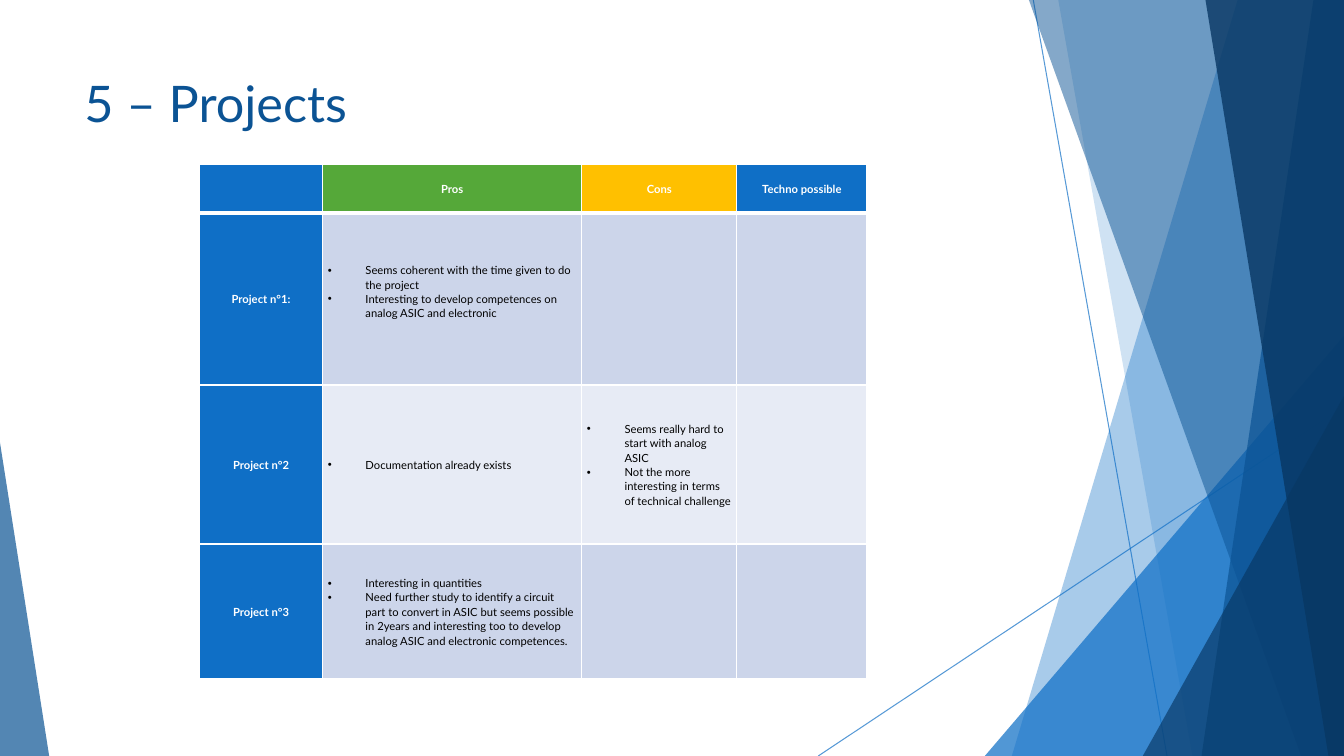
from dataclasses import dataclass

from lxml.etree import SubElement
from pptx import Presentation
from pptx.dml.color import RGBColor
from pptx.enum.shapes import MSO_CONNECTOR, MSO_SHAPE
from pptx.enum.text import MSO_ANCHOR as Anchor, PP_ALIGN as Align
from pptx.oxml.ns import qn
from pptx.util import Cm, Pt


@dataclass(frozen=True)
class Theme:
    font: str = "Lato"
    blue: str = "0F6FC6"
    deep: str = "0B5394"
    navy: str = "083763"
    green: str = "55A839"
    amber: str = "FFC000"
    odd_row: str = "CCD5EA"
    even_row: str = "E7EBF5"
    white: str = "FFFFFF"
    black: str = "000000"
    title_size: float = 36
    cell_size: float = 8


THEME = Theme()
WIDTH, HEIGHT = 33.87, 19.05


@dataclass(frozen=True)
class Ray:
    start: tuple[float, float]
    end: tuple[float, float]


@dataclass(frozen=True)
class Band:
    """Full-height panel on the right edge, with a slanted left side."""
    top_x: float
    bottom_x: float
    color: str
    opacity: int


@dataclass(frozen=True)
class Corner:
    """Triangle standing on the bottom edge; apex 0 is left, 1 is right."""
    left: float
    top: float
    width: float
    apex: float
    color: str
    opacity: int


@dataclass(frozen=True)
class Project:
    name: str
    height: float
    color: str
    pros: tuple[str, ...]
    cons: tuple[str, ...] = ()
    pros_bottom: float = 0


RAYS = (Ray((26.04, 0), (29.41, HEIGHT)), Ray((WIDTH, 10.24), (20.62, HEIGHT)))
FACETS = (
    Band(31.19, 25.5, THEME.blue, 36),
    Band(26.67, 30.05, THEME.blue, 20),
    Corner(24.82, 8.46, 9.05, 1, THEME.blue, 72),
    Band(25.93, 32.79, THEME.deep, 50),
    Band(33.1, 30.28, THEME.deep, 70),
    Band(30.38, 33.48, THEME.navy, 80),
    Corner(28.8, 9.98, 5.07, 1, THEME.navy, 66),
    Corner(0, 11.15, 1.24, 0, THEME.deep, 70),
)
HEADERS = (("", THEME.blue), ("Pros", THEME.green), ("Cons", THEME.amber),
           ("Techno possible", THEME.blue))
COLUMN_WIDTHS = (3.1, 6.53, 3.91, 3.28)
HEADER_HEIGHT = 1.22
PROJECTS = (
    Project("Project n°1:", 4.34, THEME.odd_row,
            ("Seems coherent with the time given to do the project",
             "Interesting to develop competences on analog ASIC and electronic"),
            pros_bottom=0.37),
    Project("Project n°2", 4.01, THEME.even_row,
            ("Documentation already exists",),
            ("Seems really hard to start with analog ASIC",
             "Not the more interesting in terms of technical challenge")),
    Project("Project n°3", 3.4, THEME.odd_row,
            ("Interesting in quantities",
             "Need further study to identify a circuit part to convert in ASIC but seems "
             "possible in 2years and interesting too to develop analog ASIC and "
             "electronic competences.")),
)


def set_opacity(element, percent: int) -> None:
    for color in element.iter(qn("a:srgbClr")):
        SubElement(color, qn("a:alpha"), val=str(percent * 1000))


def write(frame, lines: tuple[str, ...], *, size: float, color: str, bold: bool = False,
          align: Align = Align.LEFT, spacing: float = 1.0, bullet: bool = False) -> None:
    for number, line in enumerate(lines):
        paragraph = frame.add_paragraph() if number else frame.paragraphs[0]
        paragraph.alignment, paragraph.line_spacing = align, spacing
        if bullet:
            properties = paragraph._p.get_or_add_pPr()
            properties.set("marL", str(Cm(0.95)))
            properties.set("indent", str(-Cm(0.95)))
            SubElement(properties, qn("a:buFont"), typeface="Arial")
            SubElement(properties, qn("a:buChar"), char="•")
        run = paragraph.add_run()
        run.text = line
        run.font.name, run.font.size, run.font.bold = THEME.font, Pt(size), bold
        run.font.color.rgb = RGBColor.from_string(color)


def draw_ray(shapes, ray: Ray) -> None:
    line = shapes.add_connector(MSO_CONNECTOR.STRAIGHT, *map(Cm, ray.start + ray.end))
    line.line.color.rgb = RGBColor.from_string(THEME.blue)
    line.line.width = Pt(0.75)
    set_opacity(line._element.spPr, 70)
    SubElement(line._element.spPr, qn("a:effectLst"))


def draw_facet(shapes, facet: Band | Corner) -> None:
    if isinstance(facet, Band):
        outline = shapes.build_freeform(Cm(facet.top_x), 0)
        outline.add_line_segments([(Cm(WIDTH), 0), (Cm(WIDTH), Cm(HEIGHT)),
                                   (Cm(facet.bottom_x), Cm(HEIGHT))])
        shape = outline.convert_to_shape()
    else:
        shape = shapes.add_shape(MSO_SHAPE.ISOSCELES_TRIANGLE, Cm(facet.left), Cm(facet.top),
                                 Cm(facet.width), Cm(HEIGHT - facet.top))
        shape.adjustments[0] = facet.apex
    shape.shadow.inherit = False
    shape.line.fill.background()
    shape.fill.solid()
    shape.fill.fore_color.rgb = RGBColor.from_string(facet.color)
    set_opacity(shape._element.spPr, facet.opacity)


def style_cell(cell, fill: str, *, top: float = 1, bottom: float = 1, inset: float = 0) -> None:
    """Set borders (points), fill, margins and anchor; inset is the bottom margin in cm."""
    properties = cell._tc.get_or_add_tcPr()
    for side, width in (("L", 1), ("R", 1), ("T", top), ("B", bottom)):
        border = SubElement(properties, qn(f"a:ln{side}"), w=str(Pt(width)))
        SubElement(SubElement(border, qn("a:solidFill")), qn("a:srgbClr"), val=THEME.white)
    cell.fill.solid()
    cell.fill.fore_color.rgb = RGBColor.from_string(fill)
    cell.margin_left = cell.margin_right = Cm(0.13)
    cell.margin_top, cell.margin_bottom = 0, Cm(inset)
    cell.vertical_anchor = Anchor.MIDDLE


def write_label(cell, label: str) -> None:
    if label:
        write(cell.text_frame, (label,), size=THEME.cell_size, color=THEME.white, bold=True,
              align=Align.CENTER, spacing=1.07)


def draw_table(shapes) -> None:
    heights = (HEADER_HEIGHT, *(project.height for project in PROJECTS))
    table = shapes.add_table(len(heights), len(COLUMN_WIDTHS), Cm(5.03), Cm(4.14),
                             Cm(sum(COLUMN_WIDTHS)), Cm(sum(heights))).table
    for column, width in zip(table.columns, COLUMN_WIDTHS):
        column.width = Cm(width)
    for row, height in zip(table.rows, heights):
        row.height = Cm(height)
    for column, (label, fill) in enumerate(HEADERS):
        style_cell(table.cell(0, column), fill, bottom=3)
        write_label(table.cell(0, column), label)
    for row, project in enumerate(PROJECTS, start=1):
        top = 3 if row == 1 else 1
        style_cell(table.cell(row, 0), THEME.blue, top=top)
        write_label(table.cell(row, 0), project.name)
        arguments = ((project.pros, project.pros_bottom), (project.cons, 0), ((), 0))
        for column, (points, inset) in enumerate(arguments, start=1):
            cell = table.cell(row, column)
            style_cell(cell, project.color, top=top, inset=inset)
            write(cell.text_frame, points, size=THEME.cell_size, color=THEME.black,
                  spacing=1.07, bullet=True)


def main() -> None:
    deck = Presentation()
    deck.slide_width, deck.slide_height = Cm(WIDTH), Cm(HEIGHT)
    shapes = deck.slides.add_slide(deck.slide_layouts[6]).shapes
    for ray in RAYS:
        draw_ray(shapes, ray)
    for facet in FACETS:
        draw_facet(shapes, facet)
    title = shapes.add_textbox(Cm(1.88), Cm(1.7), Cm(23.88), Cm(3.66)).text_frame
    title.word_wrap = True
    write(title, ("5 – Projects",), size=THEME.title_size, color=THEME.deep)
    draw_table(shapes)
    deck.save("out.pptx")


if __name__ == "__main__":
    main()
